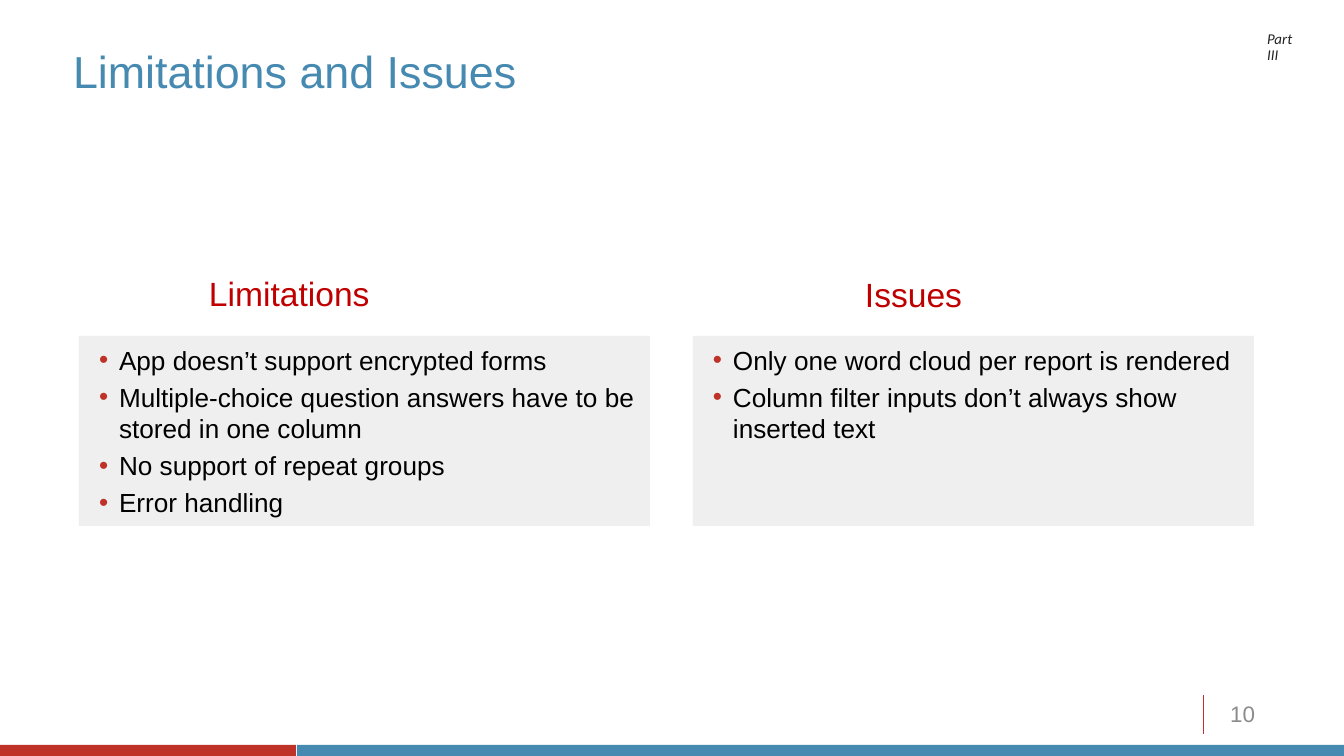
from lxml import etree
from pptx import Presentation
from pptx.dml.color import RGBColor
from pptx.enum.shapes import MSO_CONNECTOR, MSO_SHAPE
from pptx.enum.text import MSO_ANCHOR, PP_ALIGN
from pptx.oxml.ns import qn
from pptx.util import Pt

STRAIGHT = MSO_CONNECTOR.STRAIGHT
RECTANGLE = MSO_SHAPE.RECTANGLE
TOP, MIDDLE = MSO_ANCHOR.TOP, MSO_ANCHOR.MIDDLE
LEFT, RIGHT = PP_ALIGN.LEFT, PP_ALIGN.RIGHT

RED = RGBColor(0xBF, 0x32, 0x27)
BLUE = RGBColor(0x46, 0x8A, 0xB2)
HEADING_RED = RGBColor(0xC0, 0x00, 0x00)
PANEL_GRAY = RGBColor(0xEF, 0xEF, 0xF0)
NUMBER_GRAY = RGBColor(0x8C, 0x8C, 0x8C)
DARK = RGBColor(0x22, 0x22, 0x22)
BLACK = RGBColor(0x00, 0x00, 0x00)

PX = 914400 / 134.4
INDENT = 20

presentation = Presentation()
presentation.slide_width = round(1344 * PX)
presentation.slide_height = round(756 * PX)
slide = presentation.slides.add_slide(presentation.slide_layouts[6])


def add_rectangle(box, color):
    shape = slide.shapes.add_shape(RECTANGLE, *[round(v * PX) for v in box])
    shape.shadow.inherit = False
    shape.fill.solid()
    shape.fill.fore_color.rgb = color
    shape.line.fill.background()
    return shape


def add_label(text, box, size, color, insets=(13, 7, 13, 7), font="Arial",
              align=LEFT, anchor=TOP, spacing=1.0, wrap=True):
    shape = slide.shapes.add_textbox(*[round(v * PX) for v in box])
    frame = shape.text_frame
    frame.word_wrap = wrap
    frame.vertical_anchor = anchor
    (frame.margin_left, frame.margin_top,
     frame.margin_right, frame.margin_bottom) = [round(v * PX) for v in insets]
    paragraph = frame.paragraphs[0]
    paragraph.text = text
    paragraph.alignment = align
    paragraph.line_spacing = spacing
    paragraph.font.size = Pt(size)
    paragraph.font.name = font
    paragraph.font.color.rgb = color
    return paragraph


# Footer: divider, two-colour bar and slide number
divider = slide.shapes.add_connector(
    STRAIGHT, *[round(v * PX) for v in (1203, 695, 1203, 734)])
divider.line.color.rgb = RED
divider.line.width = Pt(0.5)
etree.SubElement(divider._element.spPr, qn("a:effectLst"))

add_rectangle((0, 745, 296, 12), RED)
add_rectangle((297, 745, 1048, 12), BLUE)
add_label("10", (1208, 695, 60, 40), 12, NUMBER_GRAY,
          align=RIGHT, anchor=MIDDLE, spacing=0.93)

# Section marker and title
marker = add_label("Part III", (1254, 24, 52, 31), 8, DARK,
                   font="Calibri", spacing=0.93, wrap=False)
marker.font.italic = True
add_label("Limitations and Issues", (73, 50, 1054, 94), 24, BLUE,
          insets=(0, 0, 13, 7), spacing=0.9)

# Two columns: heading above a bulleted panel
columns = [
    ("Limitations", (196, 262), (79, 571), [
        "App doesn’t support encrypted forms",
        "Multiple-choice question answers have to be stored in one column",
        "No support of repeat groups",
        "Error handling",
    ]),
    ("Issues", (852, 263), (693, 561), [
        "Only one word cloud per report is rendered",
        "Column filter inputs don’t always show inserted text",
    ]),
]
for heading, (heading_left, heading_top), (left, width), items in columns:
    add_label(heading, (heading_left, heading_top, 211, 67), 18, HEADING_RED,
              insets=(13, 11, 13, 7))

    panel = add_rectangle((left, 336, width, 190), PANEL_GRAY)
    frame = panel.text_frame
    frame.word_wrap = True
    frame.vertical_anchor = TOP
    frame.margin_left = round(20 * PX)
    frame.margin_top = round(8 * PX)
    frame.margin_right = round(13 * PX)
    frame.margin_bottom = round(7 * PX)
    for index, item in enumerate(items):
        paragraph = frame.add_paragraph() if index else frame.paragraphs[0]
        paragraph.text = item
        paragraph.alignment = LEFT
        if index:
            paragraph.space_before = Pt(3)
        properties = paragraph._p.get_or_add_pPr()
        properties.set("marL", str(round(INDENT * PX)))
        properties.set("indent", str(-round(INDENT * PX)))
        bullet_color = etree.SubElement(properties, qn("a:buClr"))
        etree.SubElement(bullet_color, qn("a:srgbClr"), val=str(RED))
        etree.SubElement(properties, qn("a:buFont"), typeface="Arial")
        etree.SubElement(properties, qn("a:buChar"), char="•")
        paragraph.font.size = Pt(14)
        paragraph.font.name = "Arial"
        paragraph.font.color.rgb = BLACK

presentation.save("out.pptx")
